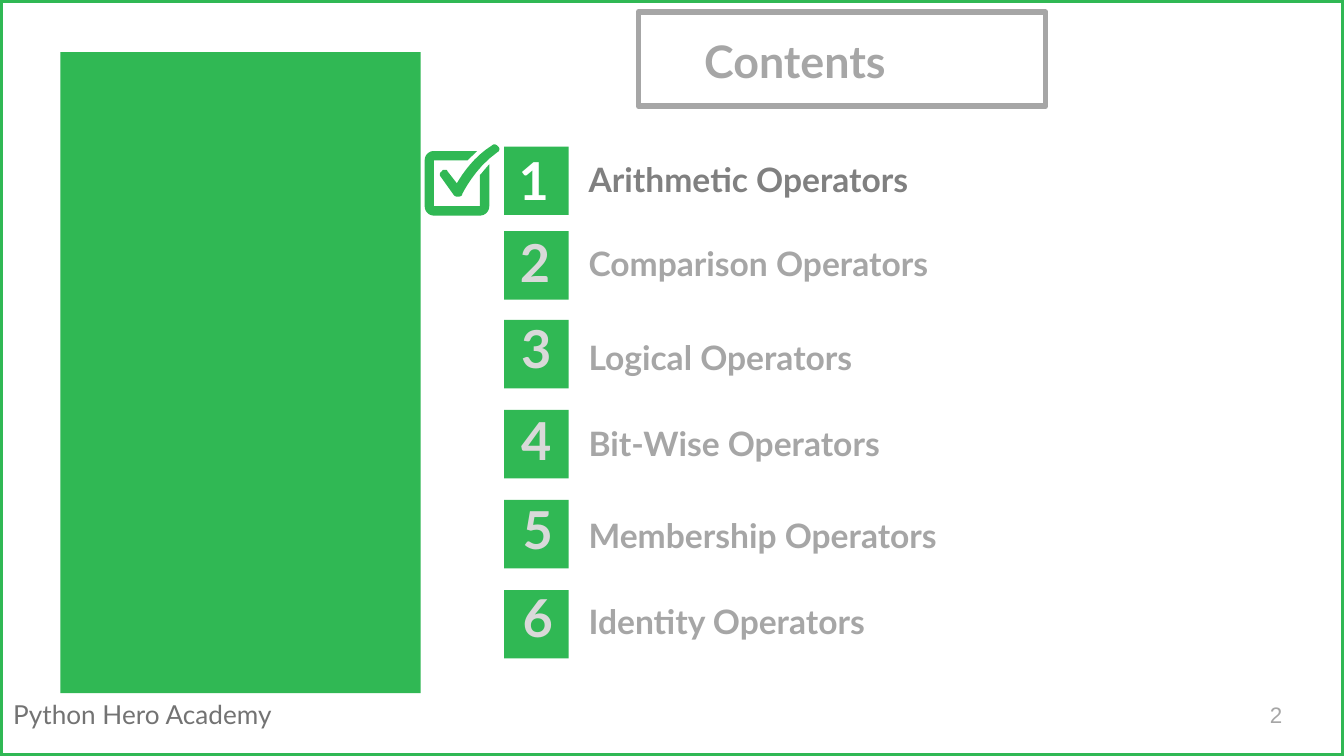
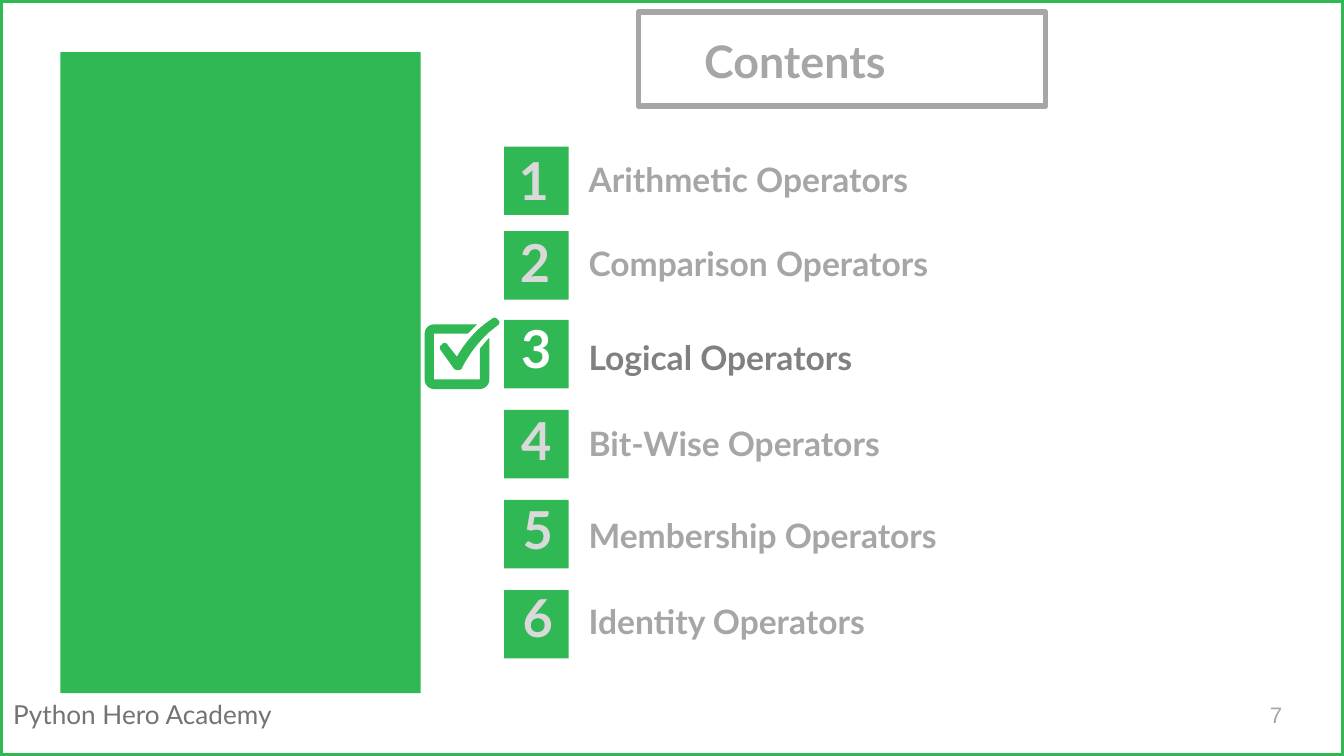
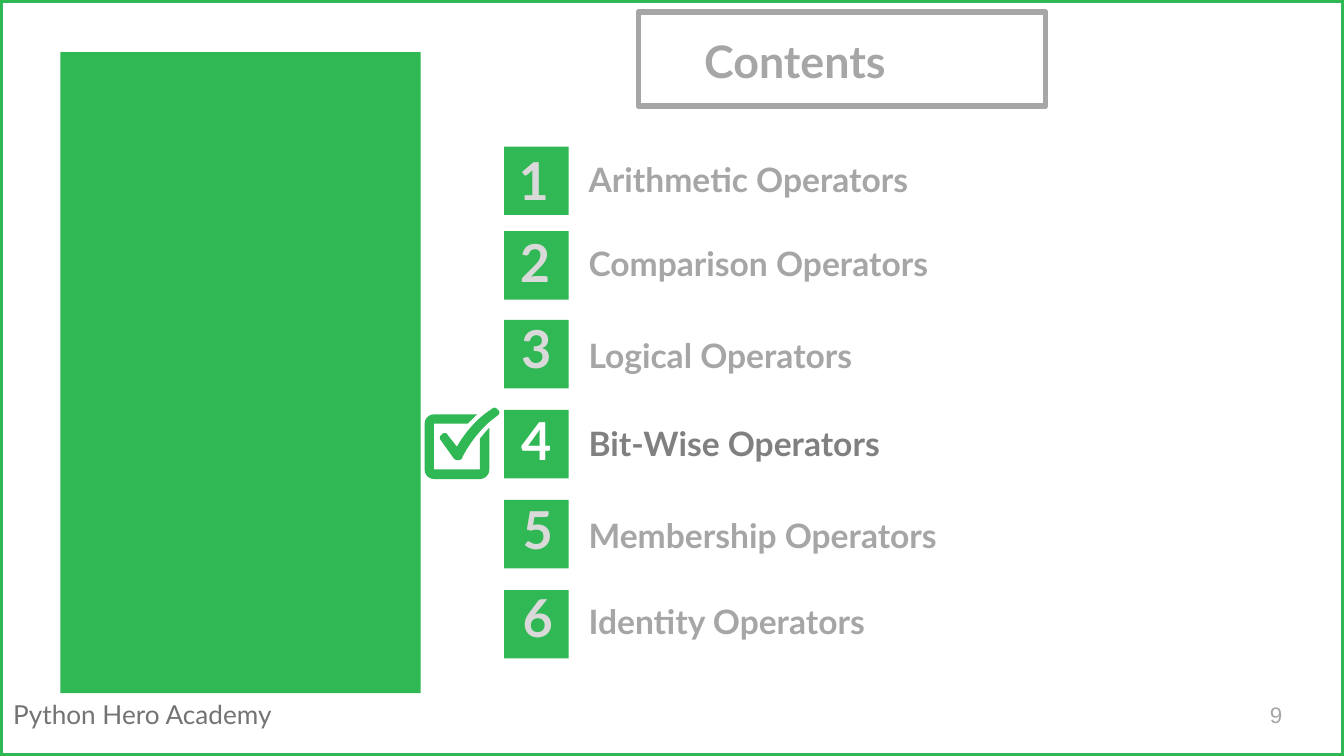
import pptx
import pptx.dml.color
import pptx.enum.shapes
import pptx.enum.text
import pptx.util

Pt = pptx.util.Pt
ANCHOR = pptx.enum.text.MSO_ANCHOR
ALIGN = pptx.enum.text.PP_ALIGN
FIT = pptx.enum.text.MSO_AUTO_SIZE
RECTANGLE = pptx.enum.shapes.MSO_SHAPE.RECTANGLE

COLORS = {
    "green": "30B854",
    "footer": "737373",
    "muted": "A6A6A6",
    "active": "808080",
    "number": "D9D9D9",
    "active number": "FFFFFF",
}
WIDTH, HEIGHT = 720, 405

# Topic, badge top, number left, number top, label top
TOPICS = [
    ("Arithmetic Operators", 78.5, 236.2, 71.3, 77),
    ("Comparison Operators", 123.8, 236.9, 115.2, 122.4),
    ("Logical Operators", 171.4, 237.6, 161.3, 172.8),
    ("Bit-Wise Operators", 219.6, 237.6, 210.2, 218.9),
    ("Membership Operators", 267.8, 238.3, 257.8, 267.8),
    ("Identity Operators", 316.1, 238.3, 305.3, 313.9),
]
# Page number, current topic, label tops that differ on this page
PAGES = [(2, 1, {}), (7, 3, {}), (9, 4, {3: 171.4})]

# Check mark outlines: two numbers are a line, six are a Bezier curve
TICK = [
    (37.4, 0), (37.4, 0, 36.7, 0, 36, 0.7), (26.6, 6.5, 20.2, 15.8, 17.3, 20.9),
    (12.2, 14.4), (12.2, 13.7, 11.5, 13.7, 10.8, 13.7),
    (10.1, 13.7, 9.4, 13.7, 9.4, 14.4), (7.9, 15.1, 7.9, 16.6, 8.6, 17.3),
    (15.8, 27.4), (16.6, 28.1, 17.3, 28.1, 18, 28.1),
    (19.4, 28.1, 20.2, 27.4, 20.2, 26.6), (20.2, 26.6, 26.6, 13, 38.9, 4.3),
    (40.3, 3.6, 40.3, 2.2, 39.6, 1.4), (38.9, 0.7, 38.2, 0, 37.4, 0),
]
CHECKBOX = [
    (29.5, 16.6), (29.5, 33.1), (5, 33.1), (5, 8.6), (23, 8.6),
    (24.5, 7.2, 26.6, 5, 28.1, 3.6), (5, 3.6), (2.2, 3.6, 0, 5.8, 0, 8.6),
    (0, 33.1), (0, 36, 2.2, 38.2, 5, 38.2), (29.5, 38.2),
    (32.4, 38.2, 34.6, 36, 34.6, 33.1), (34.6, 10.8),
    (32.4, 13, 31, 15.1, 29.5, 16.6),
]
CHECK_LEFT, CHECK_RISE = 227.5, 1.2
CURVE_STEPS = 8


def paint(shape, fill=None, line=None):
    shape.shadow.inherit = False
    if fill:
        shape.fill.solid()
        shape.fill.fore_color.rgb = pptx.dml.color.RGBColor.from_string(COLORS[fill])
    else:
        shape.fill.background()
    if line:
        shape.line.color.rgb = pptx.dml.color.RGBColor.from_string(COLORS[line])
        shape.line.width = Pt(3)
    else:
        shape.line.fill.background()


def write(box, text, size, color, bold=True, font="Lato", anchor=ANCHOR.MIDDLE,
          align=ALIGN.LEFT, inset=7.2):
    frame = box.text_frame
    frame.word_wrap = True
    frame.auto_size = FIT.NONE
    frame.vertical_anchor = anchor
    frame.margin_left = frame.margin_right = Pt(7.2)
    frame.margin_top = frame.margin_bottom = Pt(inset)
    paragraph = frame.paragraphs[0]
    paragraph.alignment = align
    run = paragraph.add_run()
    run.text = text
    run.font.name = font
    run.font.size = Pt(size)
    run.font.bold = bold
    run.font.color.rgb = pptx.dml.color.RGBColor.from_string(COLORS[color])


deck = pptx.Presentation()
deck.slide_width, deck.slide_height = Pt(WIDTH), Pt(HEIGHT)

for page, current, moved_labels in PAGES:
    slide = deck.slides.add_slide(deck.slide_layouts[5])
    shapes = slide.shapes

    # Footer, title frame, side panel, badges and page border
    footer = shapes.add_textbox(Pt(0), Pt(370.8), Pt(183.6), Pt(24.5))
    write(footer, "Python Hero Academy", 14, "footer", bold=False,
          anchor=ANCHOR.TOP, inset=3.6)
    footer.text_frame.auto_size = FIT.SHAPE_TO_FIT_TEXT

    blocks = [(342, 6.5, 218.2, 50.4, None, "muted"),
              (32.4, 28, 193, 343.4, "green", None),
              (0, 0, WIDTH, HEIGHT, None, "green")]
    blocks += [(270, topic[1], 34.6, 36.7, "green", None) for topic in TOPICS]
    for left, top, width, height, fill, line in blocks:
        paint(shapes.add_shape(RECTANGLE, Pt(left), Pt(top), Pt(width), Pt(height)),
              fill, line)

    # Title and page number
    title = shapes.title
    title.left, title.top, title.width, title.height = Pt(370), Pt(15.8), Pt(152.6), Pt(29.5)
    write(title, "Contents", 24, "muted")
    title.text_frame.paragraphs[0].line_spacing = 1.15
    page_number = shapes.add_textbox(Pt(673.2), Pt(367.2), Pt(43.2), Pt(31))
    write(page_number, str(page), 12, "muted", bold=False, font="Arial")

    # Numbered topics
    for number, (topic, _, left, top, label_top) in enumerate(TOPICS, 1):
        active = number == current
        numeral = shapes.add_textbox(Pt(left), Pt(top), Pt(99.4), Pt(50.4))
        write(numeral, str(number), 28, "active number" if active else "number",
              align=ALIGN.CENTER)
        label = shapes.add_textbox(Pt(308.2), Pt(moved_labels.get(number, label_top)),
                                   Pt(416.9), Pt(36.7))
        write(label, topic, 18, "active" if active else "muted", anchor=ANCHOR.BOTTOM)

    # Check mark beside the current topic
    check_top = TOPICS[current - 1][1] - CHECK_RISE
    check_mark = shapes.add_group_shape()
    for outline in (TICK, CHECKBOX):
        points = [outline[0]]
        for segment in outline[1:]:
            if len(segment) == 2:
                points.append(segment)
                continue
            x0, y0 = points[-1]
            x1, y1, x2, y2, x3, y3 = segment
            for step in range(1, CURVE_STEPS + 1):
                t = step / CURVE_STEPS
                u = 1 - t
                weights = (u**3, 3 * u * u * t, 3 * u * t * t, t**3)
                points.append((sum(w * x for w, x in zip(weights, (x0, x1, x2, x3))),
                               sum(w * y for w, y in zip(weights, (y0, y1, y2, y3)))))
        placed = [(Pt(CHECK_LEFT + x), Pt(check_top + y)) for x, y in points]
        builder = check_mark.shapes.build_freeform(*placed[0])
        builder.add_line_segments(placed[1:], close=True)
        paint(builder.convert_to_shape(), "green")

deck.save("out.pptx")
